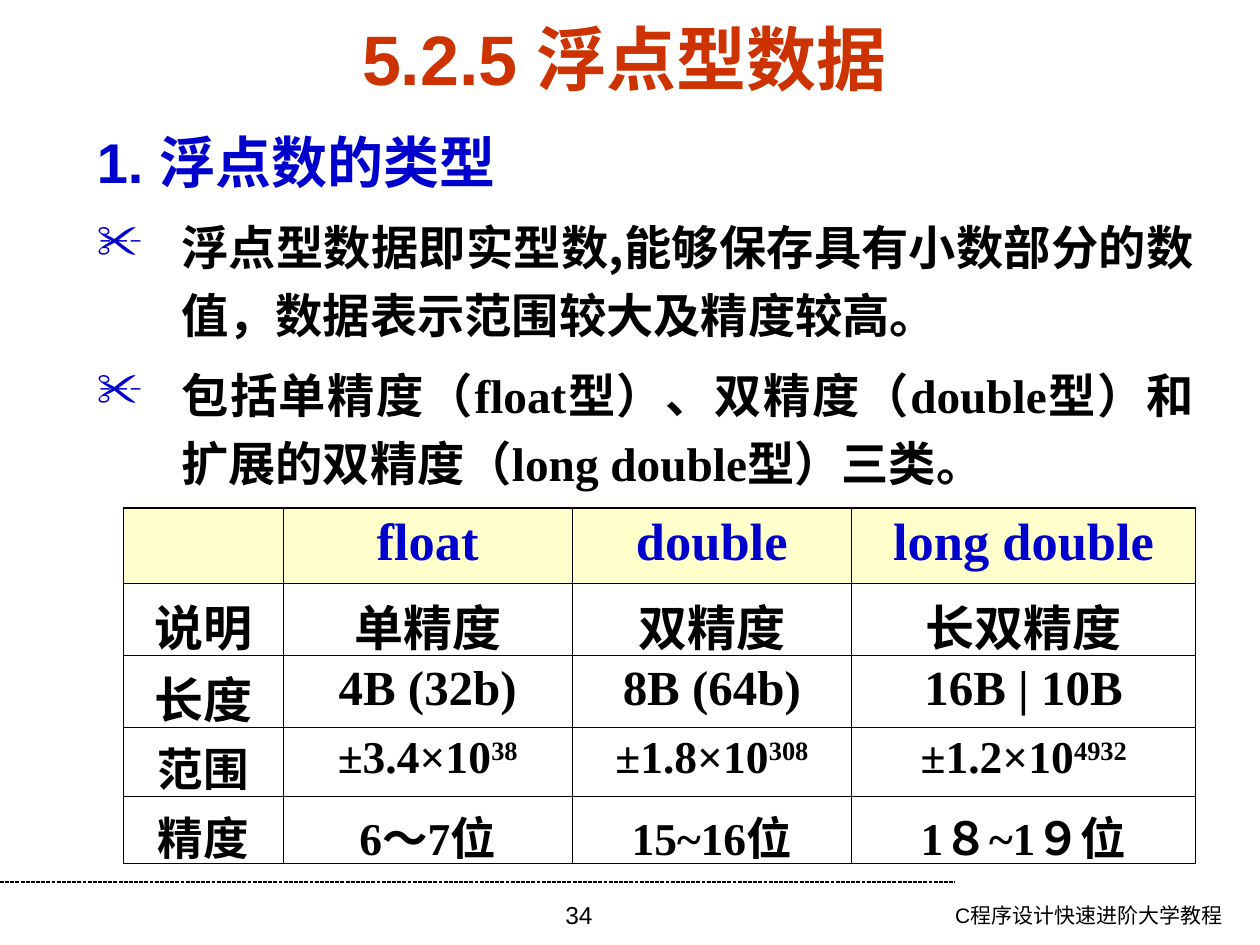
from lxml import etree
from pptx import Presentation, util as u
from pptx.dml.color import RGBColor
from pptx.enum import dml, shapes, text
from pptx.oxml.ns import qn

PX = 9144
BLACK, BLUE, RED = "000000", "0000CC", "CC3300"
CREAM, WHITE = "FFFFCC", "FFFFFF"
SANS, CJK, SERIF = "Arial", "Noto Sans CJK SC", "Times New Roman"
LEFT, CENTER, RIGHT, JUSTIFY = (
    text.PP_ALIGN.LEFT, text.PP_ALIGN.CENTER, text.PP_ALIGN.RIGHT, text.PP_ALIGN.JUSTIFY)


def px(n):
    return u.Emu(n * PX)


def rgb(color):
    return RGBColor.from_string(color)


def add(parent, tag, **attrs):
    return etree.SubElement(parent, qn(tag), attrs)


class Deck:
    def __init__(self, width, height):
        self.prs = Presentation()
        self.prs.slide_width, self.prs.slide_height = px(width), px(height)
        self.s = self.prs.slides.add_slide(self.prs.slide_layouts[6])

    def style(self, p, size, font, color=BLACK, bold=False, align=LEFT):
        p.alignment = align
        for r in p.runs:
            r.font.size = u.Pt(size)
            r.font.name = font
            r.font.bold = bold
            r.font.color.rgb = rgb(color)
            ea = etree.Element(qn("a:ea"), typeface=CJK)
            r.font._element.find(qn("a:latin")).addnext(ea)

    def box(self, x, y, w, h, anchor=text.MSO_ANCHOR.TOP):
        tf = self.s.shapes.add_textbox(px(x), px(y), px(w), px(h)).text_frame
        tf.word_wrap = True
        tf.vertical_anchor = anchor
        return tf

    def label(self, x, y, w, h, words, size, align, color=BLACK, bold=False,
              anchor=text.MSO_ANCHOR.TOP):
        p = self.box(x, y, w, h, anchor).paragraphs[0]
        p.text = words
        self.style(p, size, SANS, color, bold, align)

    def body(self, x, y, w, h, heading, points, indent):
        tf = self.box(x, y, w, h)
        p = tf.paragraphs[0]
        p.text = heading
        p.line_spacing = 1.1
        self.style(p, 32, SANS, BLUE, True)
        for words, font in points:
            p = tf.add_paragraph()
            p.text = words
            p.line_spacing, p.space_before = 1.2, u.Pt(6.8)
            self.bullet(p, "✂", BLUE, indent)
            self.style(p, 27, font, bold=True, align=JUSTIFY)

    def bullet(self, p, char, color, indent):
        pPr = p._p.get_or_add_pPr()
        pPr.set("marL", str(px(indent)))
        pPr.set("indent", str(px(-indent)))
        add(add(pPr, "a:buClr"), "a:srgbClr", val=color)
        add(pPr, "a:buChar", char=char)

    def line(self, x1, y1, x2, y2):
        sp = self.s.shapes.add_connector(
            shapes.MSO_CONNECTOR.STRAIGHT, px(x1), px(y1), px(x2), px(y2))
        sp.line.color.rgb = rgb(BLACK)
        sp.line.width = u.Pt(0.75)
        sp.line.dash_style = dml.MSO_LINE.SQUARE_DOT
        add(sp._element.spPr, "a:effectLst")

    def borders(self, cell, outer):
        tcPr = cell._tc.get_or_add_tcPr()
        for side in "LRTB":
            width = u.Pt(1.08 if side in outer else 0.45)
            ln = add(tcPr, f"a:ln{side}", w=str(width))
            add(add(ln, "a:solidFill"), "a:srgbClr", val=BLACK)

    def table(self, x, y, widths, heights, sizes, rows):
        tbl = self.s.shapes.add_table(
            len(rows), len(widths), px(x), px(y), px(sum(widths)), px(sum(heights))).table
        for col, w in zip(tbl.columns, widths):
            col.width = px(w)
        last_row, last_col = len(rows) - 1, len(widths) - 1
        for i, (row, h, size) in enumerate(zip(rows, heights, sizes)):
            tbl.rows[i].height = px(h)
            for j, words in enumerate(row):
                cell = tbl.cell(i, j)
                edges = {"L": j == 0, "R": j == last_col, "T": i == 0, "B": i == last_row}
                self.borders(cell, [side for side, on in edges.items() if on])
                cell.fill.solid()
                cell.fill.fore_color.rgb = rgb(WHITE if i else CREAM)
                cell.margin_left = cell.margin_right = px(10)
                cell.margin_top = cell.margin_bottom = px(5)
                p = cell.text_frame.paragraphs[0]
                base, _, power = words.partition("^")
                p.text = base
                if power:
                    r = p.add_run()
                    r.text = power
                    r.font._element.set("baseline", "30000")
                self.style(p, size, SERIF, BLACK if i else BLUE, True, CENTER)


def main():
    d = Deck(1000, 750)
    d.line(0, 700, 758, 700)
    d.label(657, 711, 323, 39, "C程序设计快速进阶大学教程", 12, RIGHT)
    d.label(343, 709, 233, 41, "34", 14, CENTER)
    d.body(67, 91, 890, 575, "1. 浮点数的类型", [
        ("浮点型数据即实型数,能够保存具有小数部分的数值，数据表示范围较大及精度较高。", CJK),
        ("包括单精度（float型）、双精度（double型）和扩展的双精度（long double型）三类。", SERIF),
    ], 67)
    d.label(43, 21, 905, 50, "5.2.5 浮点型数据", 40, CENTER, RED, True,
            text.MSO_ANCHOR.MIDDLE)
    d.table(98, 403, [127, 229, 222, 273], [60, 57, 57, 55, 53], [30, 28, 28, 26, 26], [
        ["", "float", "double", "long double"],
        ["说明", "单精度", "双精度", "长双精度"],
        ["长度", "4B (32b)", "8B (64b)", "16B | 10B"],
        ["范围", "±3.4×10^38", "±1.8×10^308", "±1.2×10^4932"],
        ["精度", "6～7位", "15~16位", "1８~1９位"],
    ])
    d.prs.save("out.pptx")


if __name__ == "__main__":
    main()
